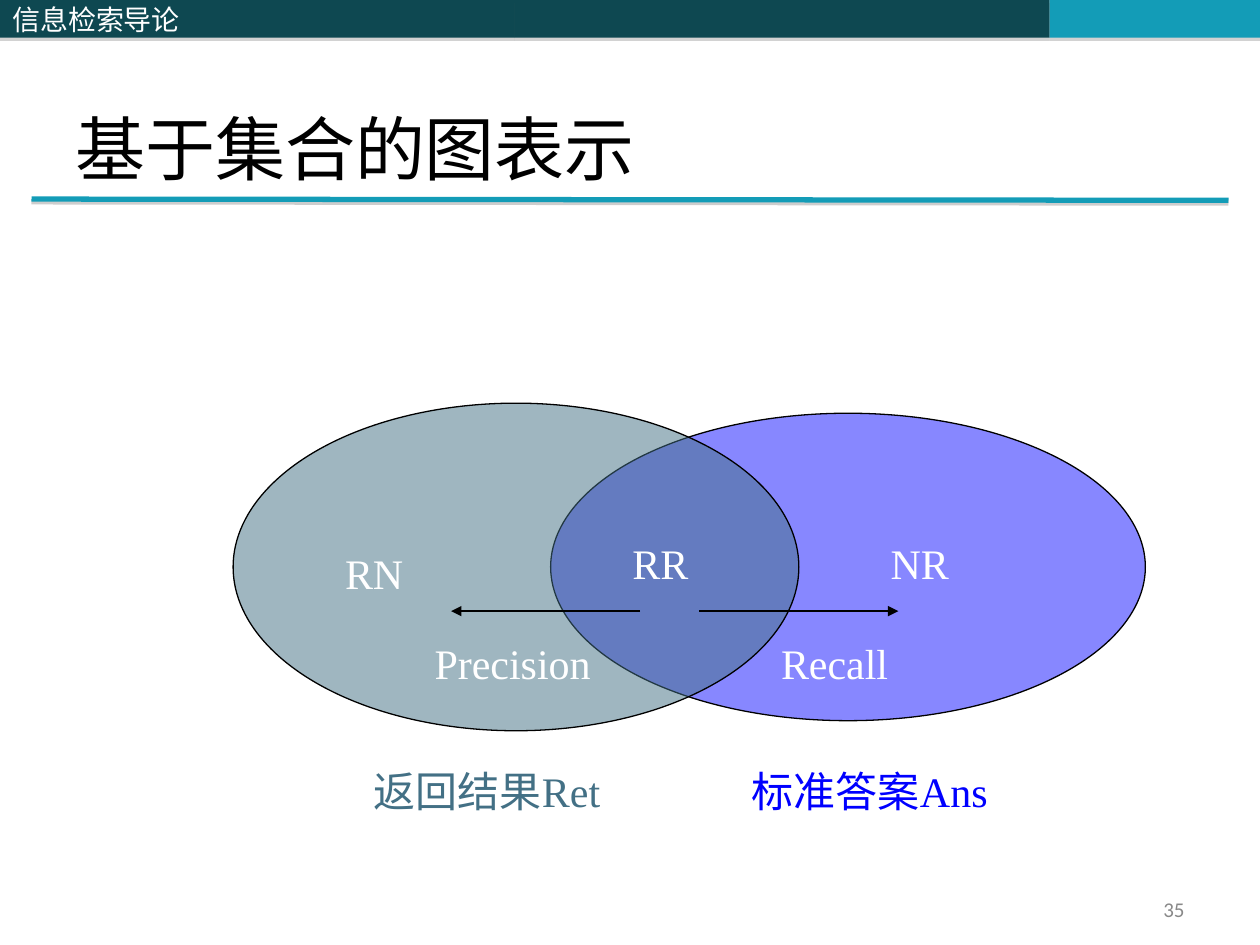
from lxml import etree
from pptx import Presentation
from pptx.dml.color import RGBColor
from pptx.enum.shapes import MSO_CONNECTOR, MSO_SHAPE
from pptx.enum.text import MSO_ANCHOR, PP_ALIGN
from pptx.oxml.ns import qn
from pptx.util import Inches, Pt

RECTANGLE, OVAL = MSO_SHAPE.RECTANGLE, MSO_SHAPE.OVAL
STRAIGHT = MSO_CONNECTOR.STRAIGHT
TOP, MIDDLE, BOTTOM = MSO_ANCHOR.TOP, MSO_ANCHOR.MIDDLE, MSO_ANCHOR.BOTTOM
LEFT, RIGHT = PP_ALIGN.LEFT, PP_ALIGN.RIGHT

SERIF, SANS, CHINESE = "Times New Roman", "Calibri", "Noto Sans CJK SC"
COLORS = {
    "dark": "0E4851", "teal": "139CB7", "shadow": "808080", "white": "FFFFFF",
    "black": "000000", "gray": "898989", "answer": "0000FF", "returned": "437085",
}

HEADER_HEIGHT = 0.3
HEADER = [
    (4.08, 4.25, "dark", ""),
    (8.33, 1.67, "teal", ""),
    (0, 4.08, "dark", "信息检索导论"),
]
TITLE = ("基于集合的图表示", (0.5, 0.3, 9, 1.25))
PAGE_NUMBER = ("35", (7.17, 7.08, 2.33, 0.27))
SETS = [
    ((4.37, 3.28, 4.72, 2.44), "answer", 47),
    ((1.85, 3.2, 4.49, 2.6), "returned", 51),
]
LABEL_HEIGHT = 0.5
LABELS = [
    ("RR", 4.92, 4.22, 1.02, "white"),
    ("标准答案Ans", 5.87, 6.03, 2.84, "answer"),
    ("返回结果Ret", 2.87, 6.03, 2.84, "returned"),
    ("RN", 2.64, 4.3, 1.73, "white"),
    ("NR", 6.97, 4.22, 1.73, "white"),
    ("Precision", 3.35, 5.01, 2.05, "white"),
    ("Recall", 6.1, 5.01, 2.05, "white"),
]
ARROW_Y = 4.85
ARROWS = [(5.08, 3.58), (5.55, 7.13)]


def rgb(name):
    return RGBColor.from_string(COLORS[name])


def set_effects(shape, opacity=None, distance=0):
    effects = etree.SubElement(shape._element.spPr, qn("a:effectLst"))
    if opacity:
        shadow = etree.SubElement(effects, qn("a:outerShdw"), blurRad="0",
                                  dist=str(Pt(distance)), dir="5400000",
                                  algn="ctr", rotWithShape="0")
        color = etree.SubElement(shadow, qn("a:srgbClr"), val=COLORS["shadow"])
        etree.SubElement(color, qn("a:alpha"), val=str(opacity * 1000))


def write_text(shape, text, *, size=24, color="black", font=SERIF,
               align=LEFT, anchor=TOP):
    frame = shape.text_frame
    frame.word_wrap = True
    frame.vertical_anchor = anchor
    paragraph = frame.paragraphs[0]
    paragraph.alignment = align
    run = paragraph.add_run()
    run.text = text
    run.font.size = Pt(size)
    run.font.name = font
    run.font.color.rgb = rgb(color)
    etree.SubElement(run._r.get_or_add_rPr(), qn("a:ea"), typeface=CHINESE)


def add_text(slide, text, box, **text_format):
    shape = slide.shapes.add_textbox(*map(Inches, box))
    write_text(shape, text, **text_format)


def add_filled(slide, kind, box, color):
    shape = slide.shapes.add_shape(kind, *map(Inches, box))
    shape.fill.solid()
    shape.fill.fore_color.rgb = rgb(color)
    return shape


def add_line(slide, start, end, color, width):
    line = slide.shapes.add_connector(STRAIGHT, *map(Inches, start + end))
    line.line.color.rgb = rgb(color)
    line.line.width = Pt(width)
    return line


def add_header(slide):
    for left, width, color, text in HEADER:
        bar = add_filled(slide, RECTANGLE, (left, 0, width, HEADER_HEIGHT), color)
        bar.line.fill.background()
        set_effects(bar, opacity=35, distance=1.8)
        if text:
            write_text(bar, text, size=16, color="white", font=CHINESE, anchor=MIDDLE)
    rule = add_line(slide, (0.25, 1.58), (9.75, 1.59), "teal", 3)
    set_effects(rule, opacity=38, distance=1.6)


def add_diagram(slide):
    for box, color, opacity in SETS:
        ellipse = add_filled(slide, OVAL, box, color)
        fill_color = ellipse._element.spPr.find(qn("a:solidFill"))[0]
        etree.SubElement(fill_color, qn("a:alpha"), val=str(opacity * 1000))
        ellipse.line.color.rgb = rgb("black")
        ellipse.line.width = Pt(0.75)
        ellipse.shadow.inherit = False
    for text, left, top, width, color in LABELS:
        add_text(slide, text, (left, top, width, LABEL_HEIGHT), color=color)
    for start, end in ARROWS:
        arrow = add_line(slide, (start, ARROW_Y), (end, ARROW_Y), "black", 0.75)
        etree.SubElement(arrow.line._get_or_add_ln(), qn("a:tailEnd"), type="triangle")
        set_effects(arrow)


def main():
    """Build the slide showing precision and recall as overlapping sets."""
    presentation = Presentation()
    presentation.slide_width = Inches(10)
    presentation.slide_height = Inches(7.5)
    slide = presentation.slides.add_slide(presentation.slide_layouts[6])
    add_header(slide)
    add_text(slide, *TITLE, size=40, anchor=BOTTOM)
    add_text(slide, *PAGE_NUMBER, size=12, color="gray", font=SANS,
             align=RIGHT, anchor=MIDDLE)
    add_diagram(slide)
    presentation.save("out.pptx")


if __name__ == "__main__":
    main()
